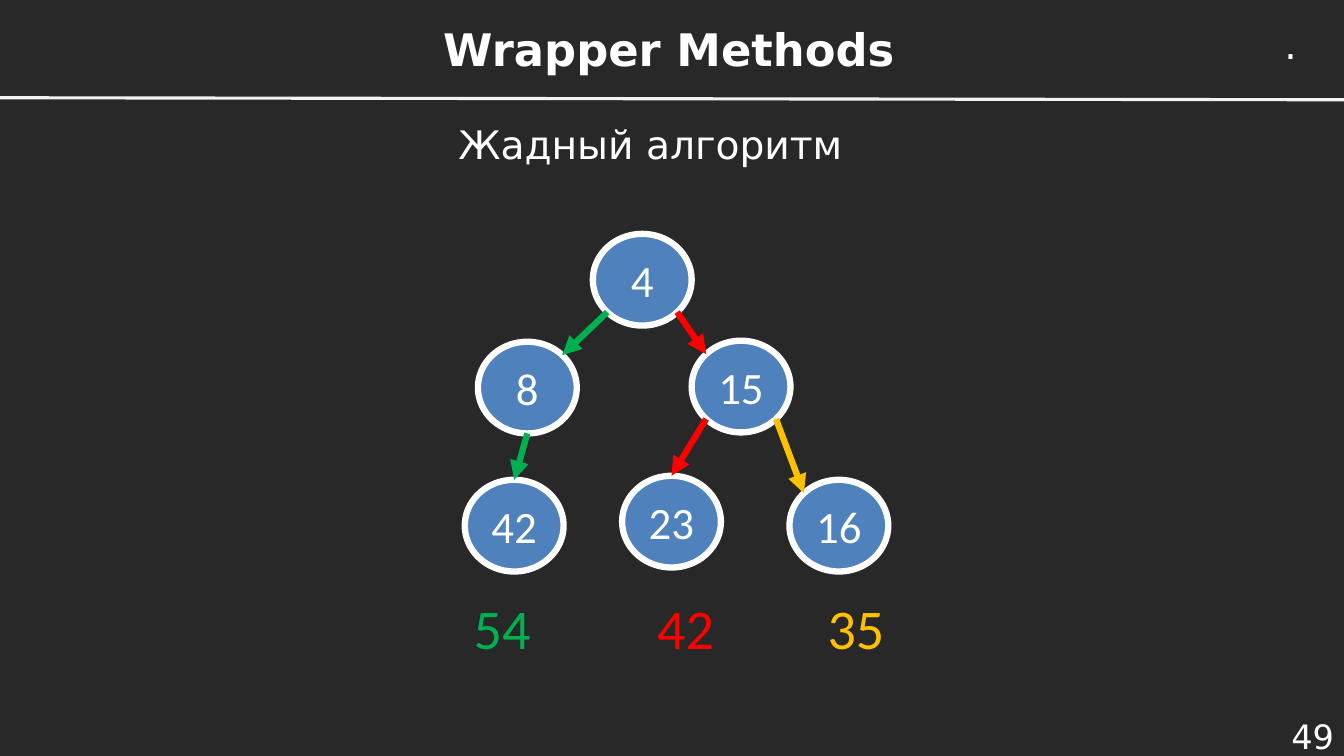
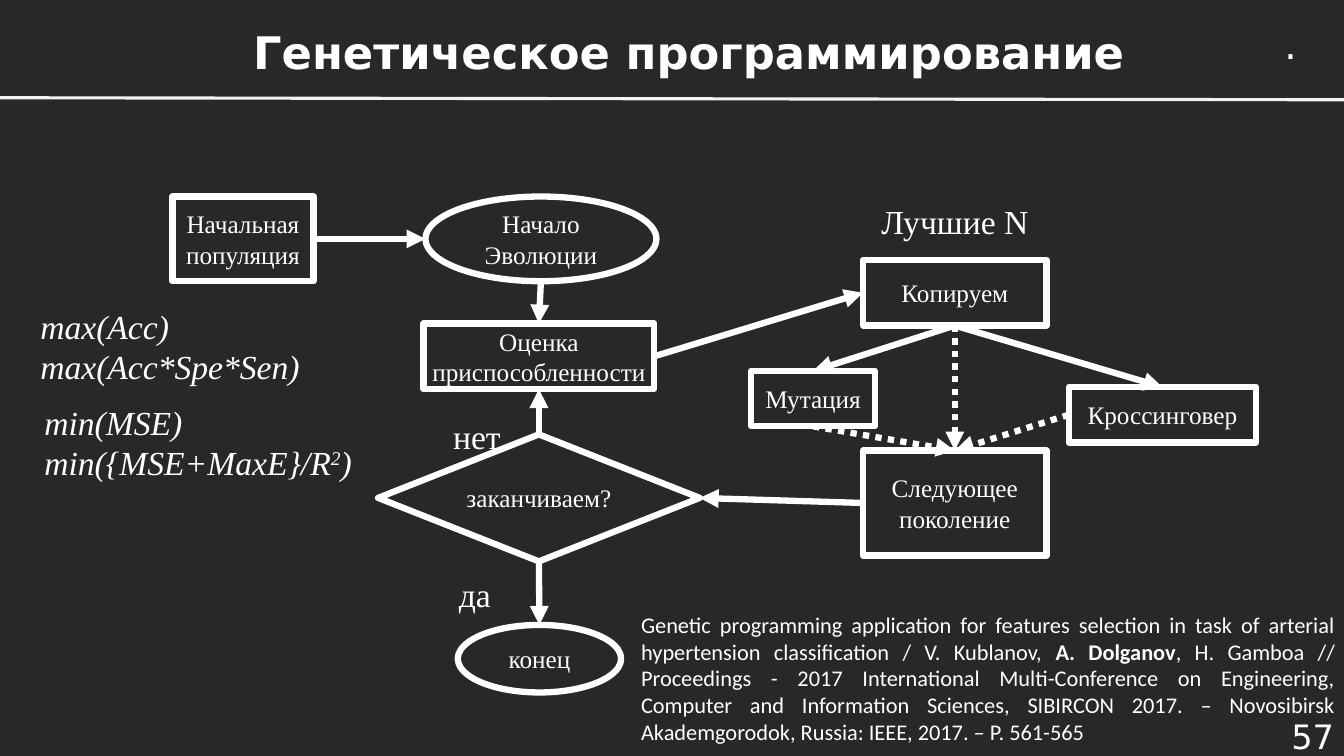
from dataclasses import dataclass, replace
from typing import NamedTuple

from lxml import etree
from pptx import Presentation
from pptx.dml.color import RGBColor
from pptx.enum import dml, shapes, text
from pptx.oxml.ns import qn
from pptx.util import Inches, Pt

BACKGROUND = RGBColor(0x27, 0x28, 0x27)
WHITE = RGBColor(0xFF, 0xFF, 0xFF)
RULE = RGBColor(0xF2, 0xF2, 0xF2)
BLUE = RGBColor(0x4F, 0x81, 0xBD)
GREEN = RGBColor(0x00, 0xB0, 0x50)
RED = RGBColor(0xFF, 0x00, 0x00)
AMBER = RGBColor(0xFF, 0xC0, 0x00)

SANS = "DejaVu Sans"
SERIF = "Times New Roman"
CALIBRI = "Calibri"

RECT = shapes.MSO_SHAPE.RECTANGLE
OVAL = shapes.MSO_SHAPE.OVAL
DIAMOND = shapes.MSO_SHAPE.DIAMOND
ALIGN = text.PP_ALIGN
ANCHOR = text.MSO_ANCHOR

STROKE = Pt(4.5)
DIAGONAL = 0.5 ** 0.5 / 2
SITES = {
    "top": (0.5, 0),
    "top left": (0.5 - DIAGONAL, 0.5 - DIAGONAL),
    "left": (0, 0.5),
    "bottom left": (0.5 - DIAGONAL, 0.5 + DIAGONAL),
    "bottom": (0.5, 1),
    "bottom right": (0.5 + DIAGONAL, 0.5 + DIAGONAL),
    "right": (1, 0.5),
    "top right": (0.5 + DIAGONAL, 0.5 - DIAGONAL),
}
OVAL_SITES = list(SITES)
PLAIN_SITES = ["top", "left", "bottom", "right"]


@dataclass(frozen=True)
class Style:
    font: str
    size: float
    bold: bool = False
    italic: bool = False
    align: ALIGN = ALIGN.CENTER
    anchor: ANCHOR = ANCHOR.MIDDLE
    inset: bool = True


class Area(NamedTuple):
    left: float
    top: float
    width: float
    height: float

    def lengths(self) -> list:
        return [Inches(value) for value in self]


class Node(NamedTuple):
    label: str
    area: Area
    kind: shapes.MSO_SHAPE = RECT


class Arrow(NamedTuple):
    start: str
    start_site: str
    end: str
    end_site: str
    color: RGBColor = WHITE
    dotted: bool = False


TITLE = Style(SANS, 32, bold=True)
SUBTITLE = Style(SANS, 28)
DOT = replace(SUBTITLE, align=ALIGN.LEFT, anchor=ANCHOR.TOP)
NUMBER = Style(SANS, 24, align=ALIGN.RIGHT)
TREE_NODE = Style(CALIBRI, 32)
SCORES = Style(CALIBRI, 40, align=ALIGN.LEFT, anchor=ANCHOR.TOP)
FLOW_NODE = Style(SERIF, 18, inset=False)
FLOW_LABEL = replace(FLOW_NODE, size=24)
FORMULA = replace(FLOW_LABEL, italic=True, align=ALIGN.LEFT)
CITATION = Style(CALIBRI, 16, align=ALIGN.JUSTIFY, anchor=ANCHOR.TOP)

TREE = [
    Node(label, Area(left, top, 0.98, 0.91), OVAL)
    for label, left, top in [
        ("4", 5.88, 2.32),
        ("8", 4.74, 3.39),
        ("15", 6.86, 3.38),
        ("42", 4.61, 4.76),
        ("23", 6.17, 4.72),
        ("16", 7.83, 4.76),
    ]
]
TREE_ARROWS = [
    Arrow("4", "bottom left", "8", "top right", GREEN),
    Arrow("4", "bottom right", "15", "top left", RED),
    Arrow("8", "bottom", "42", "top", GREEN),
    Arrow("15", "bottom left", "23", "top", RED),
    Arrow("15", "bottom right", "16", "top left", AMBER),
]
PATH_SCORES = [("54", GREEN), ("\t42", RED), ("\t35", AMBER)]
SCORE_TABS = [1.82, 3.51]

POPULATION = "Начальная популяция"
START = "Начало Эволюции"
FITNESS = "Оценка приспособленности"
COPYING = "Копируем"
CROSSOVER = "Кроссинговер"
MUTATION = "Мутация"
NEXT = "Следующее поколение"
FINISH = "заканчиваем?"
END = "конец"

FLOW = [
    Node(POPULATION, Area(1.71, 1.95, 1.4, 0.84)),
    Node(START, Area(4.22, 1.95, 2.29, 0.84), OVAL),
    Node(FITNESS, Area(4.2, 3.21, 2.29, 0.65)),
    Node(COPYING, Area(8.56, 2.58, 1.82, 0.65)),
    Node(CROSSOVER, Area(10.6, 3.84, 1.86, 0.55)),
    Node(MUTATION, Area(7.45, 3.68, 1.23, 0.55)),
    Node(NEXT, Area(8.56, 4.47, 1.82, 1.04)),
    Node(FINISH, Area(3.75, 4.31, 3.19, 1.26), DIAMOND),
    Node(END, Area(4.54, 6.2, 1.62, 0.67), OVAL),
]
FLOW_ARROWS = [
    Arrow(POPULATION, "right", START, "left"),
    Arrow(START, "bottom", FITNESS, "top"),
    Arrow(FITNESS, "right", COPYING, "left"),
    Arrow(COPYING, "bottom", MUTATION, "top"),
    Arrow(COPYING, "bottom", CROSSOVER, "top"),
    Arrow(COPYING, "bottom", NEXT, "top", dotted=True),
    Arrow(MUTATION, "bottom", NEXT, "top", dotted=True),
    Arrow(CROSSOVER, "left", NEXT, "top", dotted=True),
    Arrow(NEXT, "left", FINISH, "right"),
    Arrow(FINISH, "top", FITNESS, "bottom"),
    Arrow(FINISH, "bottom", END, "top"),
]
FLOW_LABELS = [
    ("Лучшие N", Area(8.16, 1.87, 2.62, 0.65)),
    ("нет", Area(4.38, 4, 0.7, 0.65)),
    ("да", Area(4.46, 5.57, 0.5, 0.65)),
]


def write(shape, wording: str, style: Style) -> None:
    """Fill a shape with text, one paragraph to each line."""
    frame = shape.text_frame
    frame.word_wrap = True
    frame.vertical_anchor = style.anchor
    if not style.inset:
        frame.margin_left = frame.margin_right = 0
        frame.margin_top = frame.margin_bottom = 0
    frame.text = wording
    for para in frame.paragraphs:
        para.alignment = style.align
        para.font.name = style.font
        para.font.size = Pt(style.size)
        para.font.bold = style.bold
        para.font.italic = style.italic
        para.font.color.rgb = WHITE


def add_text(page, area: Area, wording: str, style: Style):
    box = page.shapes.add_textbox(*area.lengths())
    write(box, wording, style)
    return box


def add_span(para, wording: str):
    span = para.add_run()
    span.text = wording
    return span


def add_line(page, start: tuple, end: tuple, color: RGBColor, width: Pt):
    line = page.shapes.add_connector(shapes.MSO_CONNECTOR.STRAIGHT, *start, *end)
    line.line.color.rgb = color
    line.line.width = width
    etree.SubElement(line._element.spPr, qn("a:effectLst"))
    return line


def site_point(shape, site: str) -> tuple:
    across, down = SITES[site]
    return (
        round(shape.left + across * shape.width),
        round(shape.top + down * shape.height),
    )


def add_arrow(page, drawn: dict, arrow: Arrow) -> None:
    """Draw an arrow glued to the connection sites of two drawn nodes."""
    start, end = drawn[arrow.start], drawn[arrow.end]
    line = add_line(
        page,
        site_point(start, arrow.start_site),
        site_point(end, arrow.end_site),
        arrow.color,
        STROKE,
    )
    if arrow.dotted:
        line.line.dash_style = dml.MSO_LINE.ROUND_DOT
        line.line._ln.find(qn("a:prstDash")).set("val", "sysDot")
    etree.SubElement(line.line._ln, qn("a:tailEnd"), type="triangle")
    glue = line._element.nvCxnSpPr.cNvCxnSpPr
    for tag, shape, site in [
        ("a:stCxn", start, arrow.start_site),
        ("a:endCxn", end, arrow.end_site),
    ]:
        sites = OVAL_SITES if shape.auto_shape_type == OVAL else PLAIN_SITES
        etree.SubElement(
            glue, qn(tag), id=str(shape.shape_id), idx=str(sites.index(site))
        )


def add_diagram(
    page, nodes: list[Node], arrows: list[Arrow], style: Style,
    fill: RGBColor | None = None,
) -> None:
    drawn = {}
    for node in nodes:
        shape = page.shapes.add_shape(node.kind, *node.area.lengths())
        shape.shadow.inherit = False
        if fill is None:
            shape.fill.background()
        else:
            shape.fill.solid()
            shape.fill.fore_color.rgb = fill
        shape.line.color.rgb = WHITE
        shape.line.width = STROKE
        write(shape, node.label, style)
        drawn[node.label] = shape
    for arrow in arrows:
        add_arrow(page, drawn, arrow)


def add_page(deck, title: str, title_area: Area, number: int):
    """Add a slide with its title, header rule, dot and page number."""
    page = deck.slides.add_slide(deck.slide_layouts[5])
    heading = page.shapes.title
    heading.left, heading.top, heading.width, heading.height = title_area.lengths()
    write(heading, title, TITLE)
    add_line(
        page, (0, Inches(0.97)), (deck.slide_width, Inches(0.99)), RULE, Pt(2.25)
    )
    add_text(page, Area(12.64, 0.15, 0.35, 0.57), ".", DOT)
    add_text(page, Area(12.28, 7.08, 1.05, 0.45), str(number), NUMBER)
    return page


def add_greedy_page(deck) -> None:
    page = add_page(deck, "Wrapper Methods", Area(0.6, 0.05, 12.07, 0.86), 49)
    add_text(page, Area(3.04, 0.99, 6.82, 0.87), "Жадный алгоритм", SUBTITLE)
    add_diagram(page, TREE, TREE_ARROWS, TREE_NODE, BLUE)
    scores = add_text(page, Area(4.6, 5.84, 5.54, 0.77), "", SCORES)
    para = scores.text_frame.paragraphs[0]
    tabs = etree.Element(qn("a:tabLst"))
    for stop in SCORE_TABS:
        etree.SubElement(tabs, qn("a:tab"), pos=str(Inches(stop)), algn="l")
    para._p.get_or_add_pPr().insert(0, tabs)
    for score, color in PATH_SCORES:
        add_span(para, score).font.color.rgb = color


def add_genetic_page(deck) -> None:
    page = add_page(
        deck, "Генетическое программирование", Area(1.74, 0.07, 10.19, 0.89), 57
    )
    add_diagram(page, FLOW, FLOW_ARROWS, FLOW_NODE)
    for label, area in FLOW_LABELS:
        add_text(page, area, label, FLOW_LABEL)
    add_text(page, Area(0.4, 3.05, 2.8, 0.77), "max(Acc)\nmax(Acc*Spe*Sen)", FORMULA)
    errors = add_text(
        page, Area(0.44, 3.93, 3.4, 0.91), "min(MSE)\nmin({MSE+MaxE}/R", FORMULA
    )
    para = errors.text_frame.paragraphs[1]
    add_span(para, "2")._r.get_or_add_rPr().set("baseline", "30000")
    add_span(para, ")")
    citation = add_text(
        page,
        Area(6.26, 6.01, 7.08, 1.45),
        "Genetic programming application for features selection in task of "
        "arterial hypertension classification / V. Kublanov, ",
        CITATION,
    )
    para = citation.text_frame.paragraphs[0]
    add_span(para, "A. Dolganov").font.bold = True
    add_span(
        para,
        ", H. Gamboa // Proceedings - 2017 International Multi-Conference on "
        "Engineering, Computer and Information Sciences, SIBIRCON 2017. – "
        "Novosibirsk Akademgorodok, Russia: IEEE, 2017. – P. 561-565",
    )


def main() -> None:
    deck = Presentation()
    deck.slide_width, deck.slide_height = Inches(13.33), Inches(7.5)
    backdrop = deck.slide_master.background.fill
    backdrop.solid()
    backdrop.fore_color.rgb = BACKGROUND
    add_greedy_page(deck)
    add_genetic_page(deck)
    deck.save("out.pptx")


if __name__ == "__main__":
    main()
